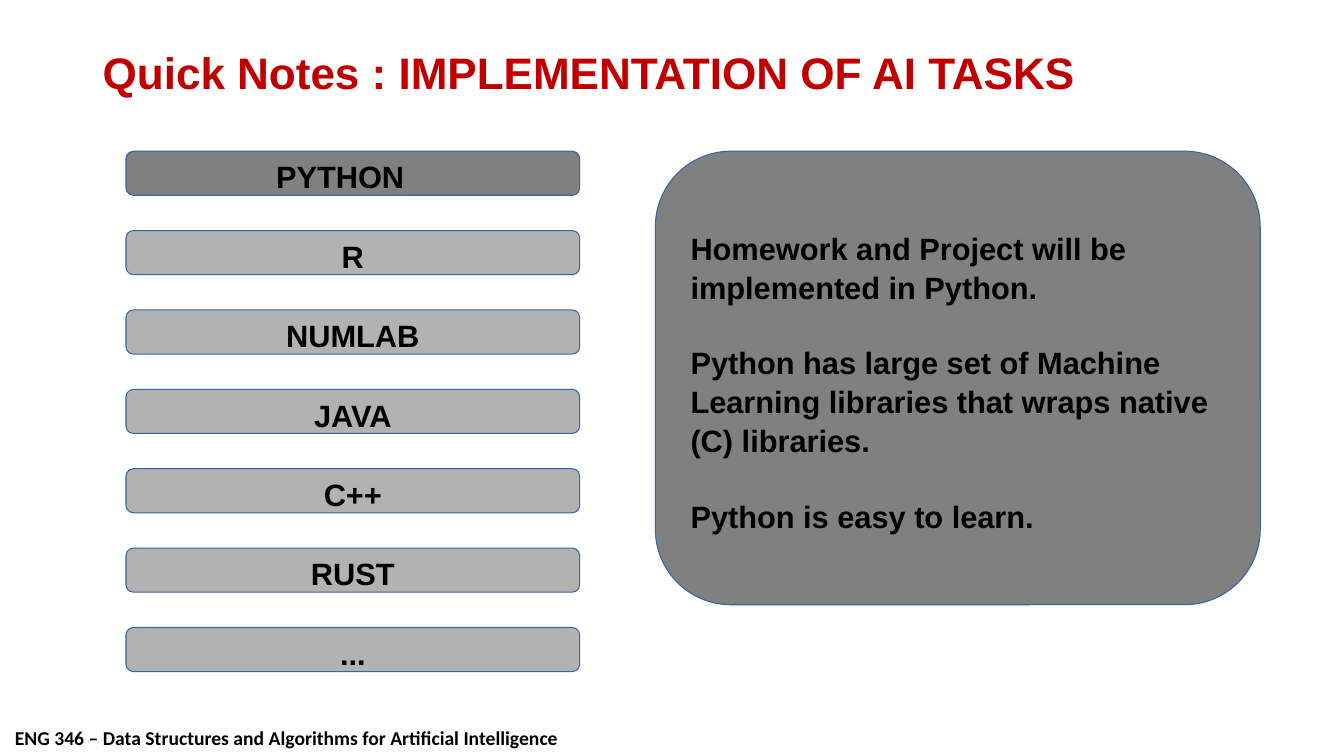
from pptx import Presentation
from pptx.dml.color import RGBColor
from pptx.enum.shapes import MSO_SHAPE
from pptx.enum.text import MSO_ANCHOR, PP_ALIGN
from pptx.util import Inches, Pt

ROUNDED = MSO_SHAPE.ROUNDED_RECTANGLE
TOP, MIDDLE = MSO_ANCHOR.TOP, MSO_ANCHOR.MIDDLE
LEFT, CENTER = PP_ALIGN.LEFT, PP_ALIGN.CENTER

BLACK = RGBColor(0x00, 0x00, 0x00)
RED = RGBColor(0xC0, 0x00, 0x00)
DARK_GRAY = RGBColor(0x80, 0x80, 0x80)
LIGHT_GRAY = RGBColor(0xB2, 0xB2, 0xB2)
BLUE = RGBColor(0x34, 0x65, 0xA4)

CELL = Inches(0.25)  # grid unit for columns and rows
BODY_ROW = 6
LANGUAGE_STEP = 3.15
LANGUAGES = ["PYTHON", "R", "NUMLAB", "JAVA", "C++", "RUST", "..."]
NOTES = [
    "Homework and Project will be implemented in Python.",
    "Python has large set of Machine Learning libraries that wraps native (C) libraries.",
    "Python is easy to learn.",
]


def cells(*counts):
    """Turn grid counts into lengths."""
    return [round(count * CELL) for count in counts]


def add_panel(col, row, cols, rows, fill, lines, align, margins):
    """Add a rounded panel; margins are left, top and right in inches."""
    panel = slide.shapes.add_shape(ROUNDED, *cells(col, row, cols, rows))
    panel.shadow.inherit = False
    panel.fill.solid()
    panel.fill.fore_color.rgb = fill
    panel.line.color.rgb = BLUE
    panel.line.width = Pt(0)
    frame = panel.text_frame
    frame.word_wrap = True
    frame.vertical_anchor = TOP
    frame.margin_left, frame.margin_top, frame.margin_right = map(Inches, margins)
    frame.margin_bottom = 0
    frame.text = "\n".join(lines)
    for index, paragraph in enumerate(frame.paragraphs):
        paragraph.alignment = align
        paragraph.line_spacing = 1.05
        if index:
            paragraph.space_before = Pt(26.4)
        paragraph.font.name = "Arial"
        paragraph.font.size = Pt(22)
        paragraph.font.bold = True
        paragraph.font.color.rgb = BLACK


deck = Presentation()
deck.slide_width, deck.slide_height = Inches(13.33), Inches(7.5)
slide = deck.slides.add_slide(deck.slide_layouts[6])

# Title and course footer
for text, place, font, size, color, anchor, spacing, wrap in [
    ("ENG 346 – Data Structures and Algorithms for Artificial Intelligence",
     (0.2, 28.6, 22.52, 1.32), "Calibri", 14, BLACK, TOP, 1.0, False),
    ("Quick Notes : IMPLEMENTATION OF AI TASKS",
     (3.68, 1.6, 40.32, 2.8), "Arial", 31.5, RED, MIDDLE, 0.9, True),
]:
    frame = slide.shapes.add_textbox(*cells(*place)).text_frame
    frame.word_wrap = wrap
    frame.vertical_anchor = anchor
    paragraph = frame.paragraphs[0]
    paragraph.text = text
    paragraph.line_spacing = spacing
    paragraph.font.name = font
    paragraph.font.size = Pt(size)
    paragraph.font.bold = True
    paragraph.font.color.rgb = color

# Languages, with the chosen one darker and its label slightly to the left
for index, language in enumerate(LANGUAGES):
    chosen = language == "PYTHON"
    add_panel(5, BODY_ROW + index * LANGUAGE_STEP, 18, 1.75,
              DARK_GRAY if chosen else LIGHT_GRAY, [language], CENTER,
              (0.1, 0.03, 0.35 if chosen else 0.1))

add_panel(26, BODY_ROW, 24, 18, DARK_GRAY, NOTES, LEFT, (0.13, 0.54, 0.12))

deck.save("out.pptx")
